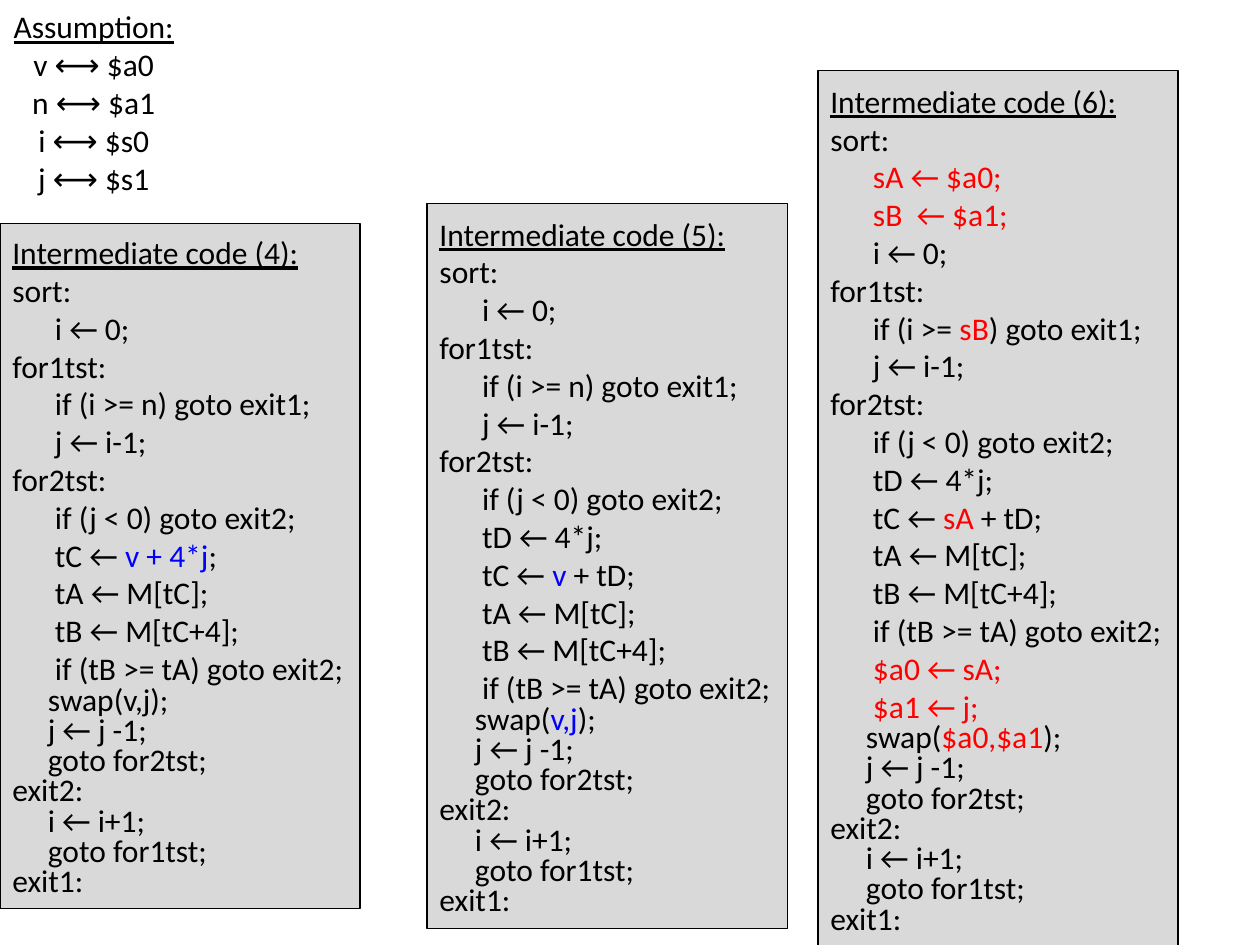
from pptx import Presentation, util as u
from pptx.dml.color import RGBColor
from pptx.enum import shapes, text

BLACK = RGBColor(0x00, 0x00, 0x00)
BLUE = RGBColor(0x00, 0x00, 0xFF)
RED = RGBColor(0xFF, 0x00, 0x00)
GREY = RGBColor(0xD9, 0xD9, 0xD9)
FONT, SIZE = "Calibri", u.Pt(18)
TIGHT = 0.8

# Text between two bars is highlighted.
ASSUMPTION = ["Assumption:", "v ⟷ $a0", "n ⟷ $a1", "i ⟷ $s0", "j ⟷ $s1"]
LOADS = ["      tA ← M[tC];", "      tB ← M[tC+4];", "      if (tB >= tA) goto exit2;"]
TAIL = ["     j ← j -1;", "     goto for2tst;", "exit2:",
        "     i ← i+1;", "     goto for1tst;", "exit1:"]


def sort_code(number, limit, address, swap_args, setup=(), before_swap=()):
    """Return the loose lines and the tight closing lines of one version."""
    loose = [f"Intermediate code ({number}):", "sort:", *setup, "      i ← 0;",
             "for1tst:", f"      if (i >= {limit}) goto exit1;", "      j ← i-1;",
             "for2tst:", "      if (j < 0) goto exit2;", *address, *LOADS, *before_swap]
    return loose, [f"     swap({swap_args});", *TAIL]


# left, top, height (cm), highlight colour, code
PANELS = [
    (0, 4.5, 13.82, BLUE,
     sort_code(4, "n", ["      tC ← |v + 4*j|;"], "v,j")),
    (8.61, 4.11, 14.61, BLUE,
     sort_code(5, "n", ["      tD ← 4*j;", "      tC ← |v| + tD;"], "|v,j|")),
    (16.49, 1.42, 17.68, RED,
     sort_code(6, "|sB|", ["      tD ← 4*j;", "      tC ← |sA| + tD;"], "|$a0,$a1|",
               setup=["|      sA ← $a0;|", "|      sB  ← $a1;|"],
               before_swap=["|      $a0 ← sA;|", "|      $a1 ← j;|"])),
]
PANEL_WIDTH = 7.26


def write(sp, loose, tight=(), accent=BLACK, align=text.PP_ALIGN.LEFT):
    """Fill a shape with lines, the first one underlined as heading."""
    tf = sp.text_frame
    tf.word_wrap = False
    tf.auto_size = text.MSO_AUTO_SIZE.SHAPE_TO_FIT_TEXT
    tf.vertical_anchor = text.MSO_ANCHOR.MIDDLE
    for i, line in enumerate([*loose, *tight]):
        p = tf.add_paragraph() if i else tf.paragraphs[0]
        p.alignment = align
        if i >= len(loose):
            p.line_spacing = TIGHT
        for k, part in enumerate(line.split("|")):
            if not part:
                continue
            r = p.add_run()
            r.text = part
            r.font.name, r.font.size = FONT, SIZE
            r.font.underline = i == 0
            r.font.color.rgb = accent if k % 2 else BLACK


prs = Presentation()
prs.slide_width, prs.slide_height = u.Cm(25.4), u.Cm(19.05)
s = prs.slides.add_slide(prs.slide_layouts[6])

for left, top, height, accent, (loose, tight) in PANELS:
    sp = s.shapes.add_shape(shapes.MSO_SHAPE.RECTANGLE, u.Cm(left), u.Cm(top),
                            u.Cm(PANEL_WIDTH), u.Cm(height))
    sp.shadow.inherit = False
    sp.fill.solid()
    sp.fill.fore_color.rgb = GREY
    sp.line.color.rgb = BLACK
    sp.line.width = u.Pt(0.75)
    write(sp, loose, tight, accent)

box = s.shapes.add_textbox(0, 0, u.Cm(3.78), u.Cm(4.11))
write(box, ASSUMPTION, align=text.PP_ALIGN.CENTER)

prs.save("out.pptx")
